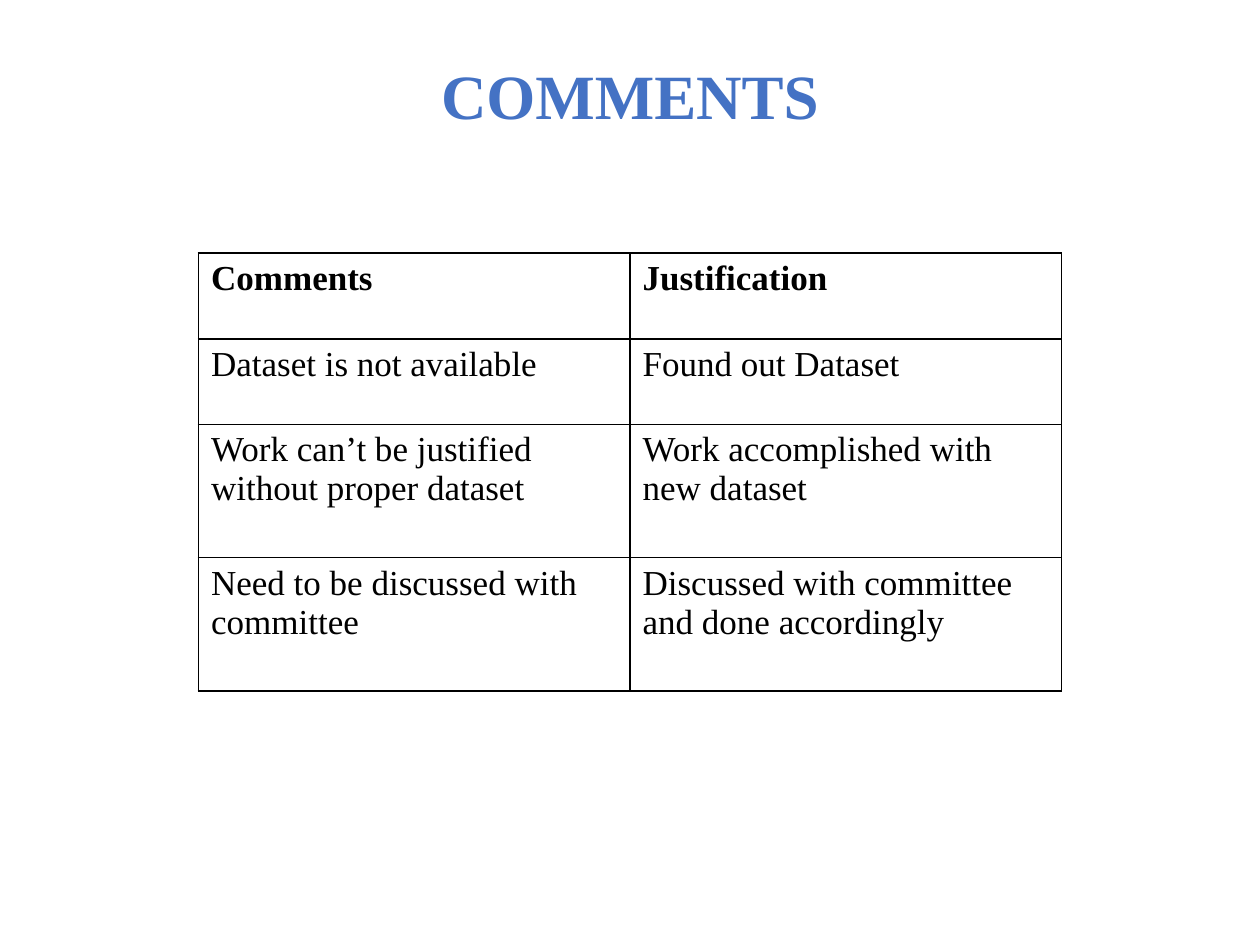
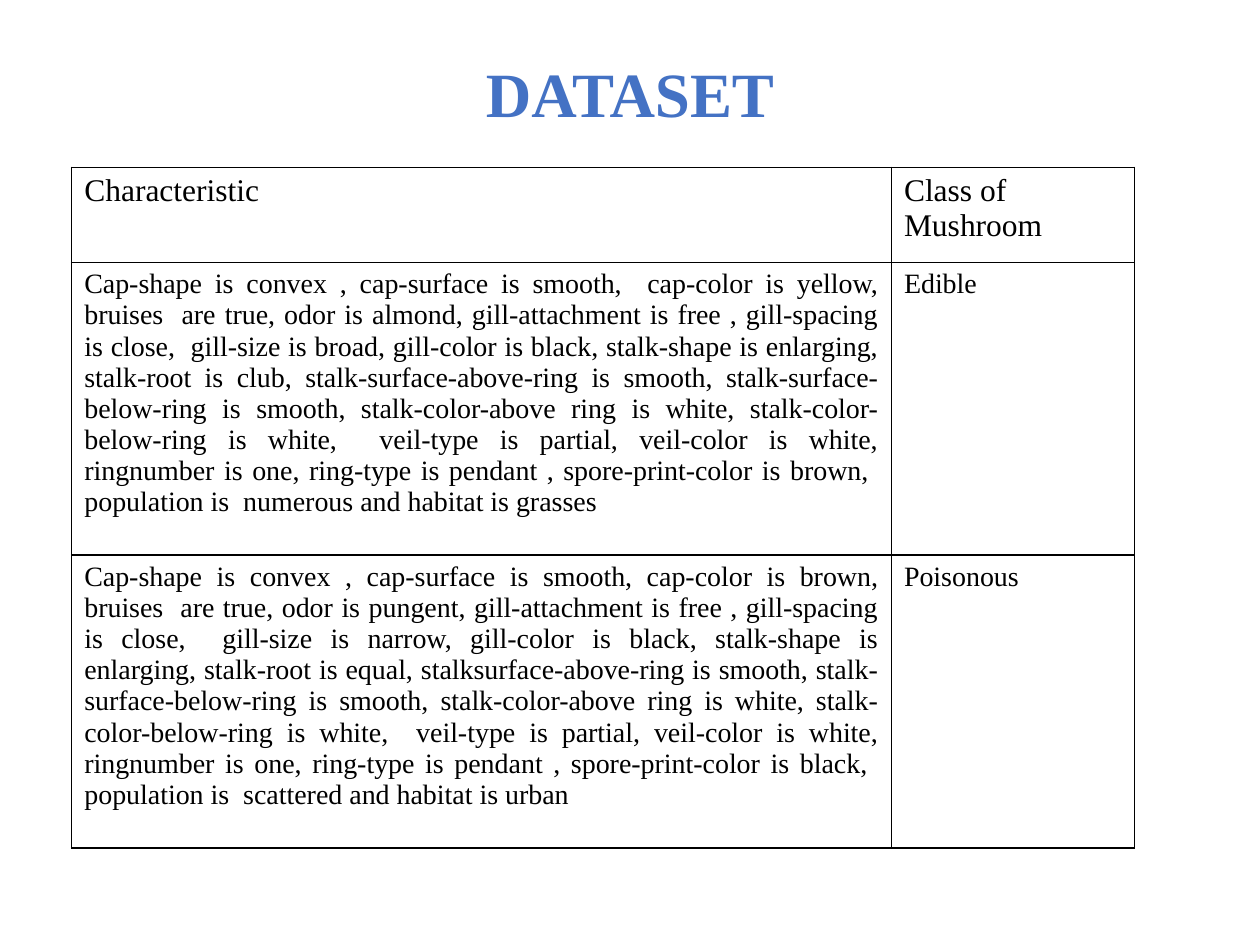
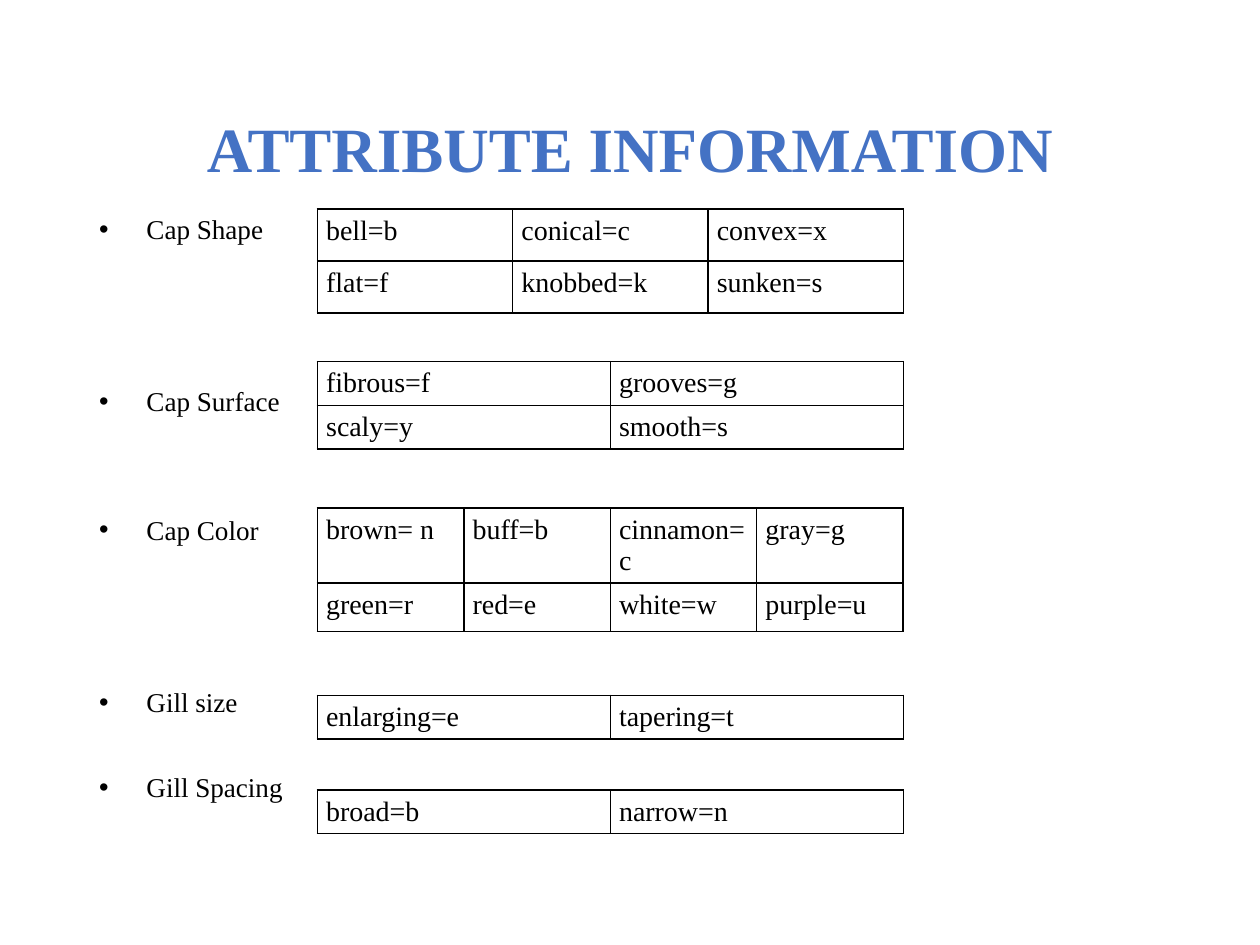
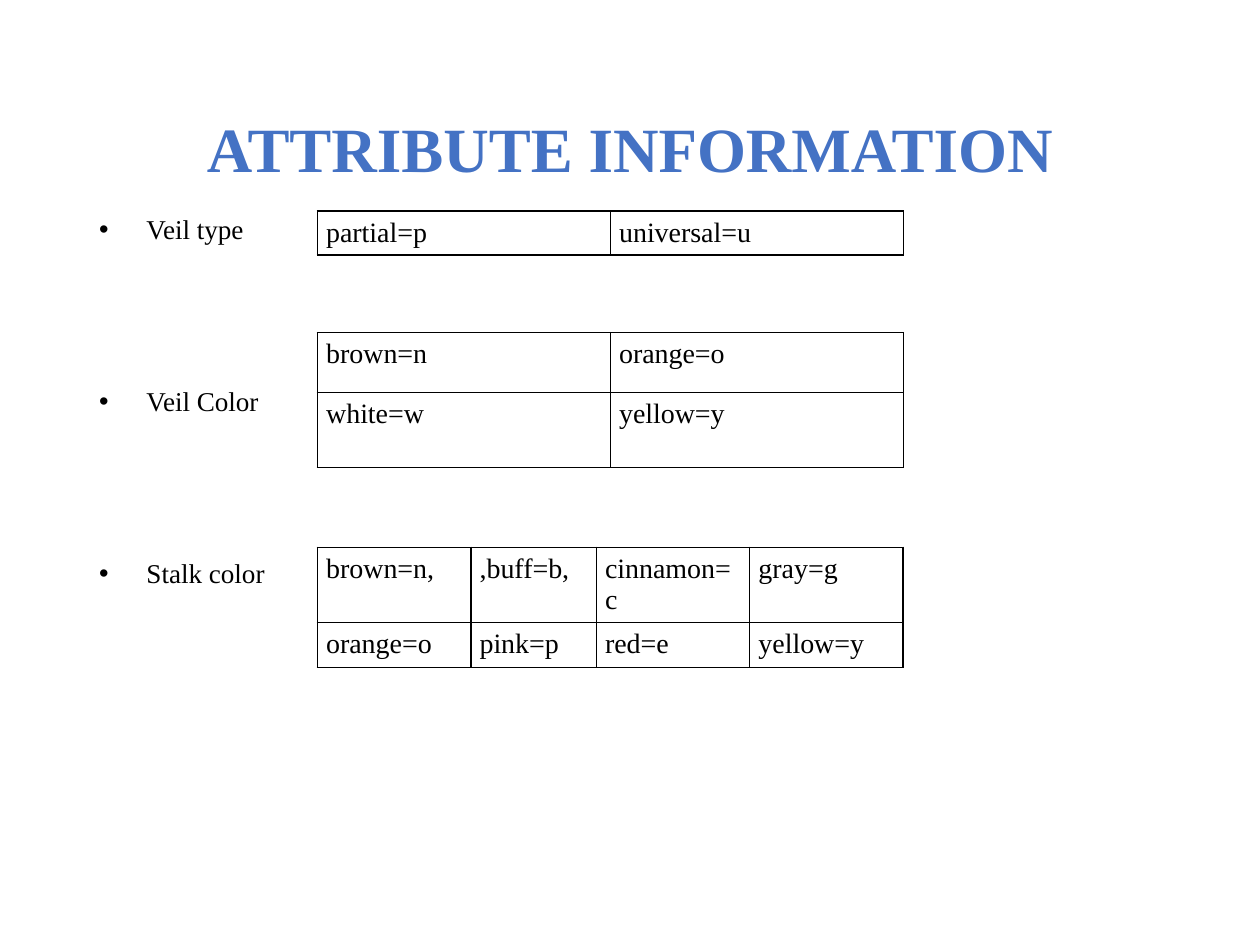
import pptx
import pptx.dml.color
import pptx.enum.text
import pptx.oxml
import pptx.oxml.ns
import pptx.util

Pt = pptx.util.Pt
ALIGN = pptx.enum.text.PP_ALIGN
FONT = "Times New Roman"
BLUE = "4472C4"
BLACK = "000000"
LINE = 24.7  # height of one skipped line in a list
LEFT, WIDE = 181.4, 334.8  # place of the attribute tables


def write(para, text, size=16, color=BLACK, bold=False, align=None, space=None):
    run = para.add_run()
    run.text = text
    font = run.font
    font.name, font.size, font.bold = FONT, Pt(size), bold
    font.color.rgb = pptx.dml.color.RGBColor.from_string(color)
    para.alignment = align
    para.line_spacing = space


def grid(slide, left, top, cols, rows, cells, size=16, head=None, bold=False,
         pad=7.2, just=False):
    """Add a bordered table; head is the size of the first row, just justifies column one below it."""
    table = slide.shapes.add_table(len(rows), len(cols), Pt(left), Pt(top),
                                   Pt(sum(cols)), Pt(sum(rows))).table
    table.first_row = table.horz_banding = False
    for col, width in zip(table.columns, cols):
        col.width = Pt(width)
    for r, (row, high) in enumerate(zip(table.rows, rows)):
        row.height = Pt(high)
        for c, cell in enumerate(row.cells):
            cell.margin_left = cell.margin_right = Pt(pad)
            write(cell.text_frame.paragraphs[0], cells[r][c],
                  size=head if head and r == 0 else size, bold=bold and r == 0,
                  align=ALIGN.JUSTIFY if just and r and c == 0 else None)
            props = cell._tc.get_or_add_tcPr()
            for side in ("lnL", "lnR", "lnT", "lnB"):
                props.append(pptx.oxml.parse_xml(
                    f'<a:{side} {pptx.oxml.ns.nsdecls("a")} w="{Pt(1)}"><a:solidFill>'
                    f'<a:srgbClr val="{BLACK}"/></a:solidFill></a:{side}>'))
            cell.fill.background()


deck = pptx.Presentation()
deck.slide_width, deck.slide_height = Pt(720), Pt(540)

# Titles: layout number, text, left, top, width, height
heads = [
    (5, "COMMENTS", 49.5, 28.75, 621, 56),
    (5, "DATASET", 63, 30, 594, 51),
    (1, "ATTRIBUTE INFORMATION", 63, 54.7, 594, 65),
    (1, "ATTRIBUTE INFORMATION", 63, 54.7, 594, 65),
]
for kind, text, left, top, width, high in heads:
    title = deck.slides.add_slide(deck.slide_layouts[kind]).shapes.title
    title.left, title.top, title.width, title.height = Pt(left), Pt(top), Pt(width), Pt(high)
    frame = title.text_frame
    frame.auto_size = pptx.enum.text.MSO_AUTO_SIZE.NONE
    frame.vertical_anchor = pptx.enum.text.MSO_ANCHOR.MIDDLE
    write(frame.paragraphs[0], text, size=36, color=BLUE, bold=True,
          align=ALIGN.CENTER, space=0.9)
notes, data, caps, veils = deck.slides

# Comments
grid(notes, 113.4, 144.7, [246.6, 246.6], [48.9, 48.9, 76.2, 76.2], [
    ["Comments", "Justification"],
    ["Dataset is not available", "Found out Dataset"],
    ["Work can’t be justified without proper dataset",
     "Work accomplished with new dataset"],
    ["Need to be discussed with committee",
     "Discussed with committee and done accordingly"],
], size=20, bold=True)

# Dataset
good = (
    "Cap-shape is convex , cap-surface is smooth,  cap-color is yellow, bruises  are true, "
    "odor is almond, gill-attachment is free , gill-spacing is close,  gill-size is broad, "
    "gill-color is black, stalk-shape is enlarging, stalk-root is club, "
    "stalk-surface-above-ring is smooth, stalk-surface-below-ring is smooth, "
    "stalk-color-above ring is white, stalk-color-below-ring is white,  veil-type is partial, "
    "veil-color is white, ringnumber is one, ring-type is pendant , "
    "spore-print-color is brown,  population is  numerous and habitat is grasses")
bad = (
    "Cap-shape is convex , cap-surface is smooth, cap-color is brown, bruises  are true, "
    "odor is pungent, gill-attachment is free , gill-spacing is close,  gill-size is narrow, "
    "gill-color is black, stalk-shape is enlarging, stalk-root is equal, "
    "stalksurface-above-ring is smooth, stalk-surface-below-ring is smooth, "
    "stalk-color-above ring is white, stalk-color-below-ring is white,  veil-type is partial, "
    "veil-color is white, ringnumber is one, ring-type is pendant , "
    "spore-print-color is black,  population is  scattered and habitat is urban")
grid(data, 41, 95.6, [468.4, 138.8], [54.4, 167.3, 167.3], [
    ["Characteristic", "Class of Mushroom"],
    [good, "Edible"],
    [bad, "Poisonous"],
], head=18, just=True)

# Attribute lists: label and number of lines skipped above it
lists = [
    (caps, [("Cap Shape", 0), ("Cap Surface", 3), ("Cap Color", 2),
            ("Gill size", 3), ("Gill Spacing", 1)]),
    (veils, [("Veil type", 0), ("Veil Color", 3), ("Stalk color", 3)]),
]
for slide, items in lists:
    body = slide.placeholders[1]
    body.left, body.top, body.width, body.height = Pt(49.5), Pt(119.7), Pt(621), Pt(391.5)
    frame = body.text_frame
    frame.auto_size = pptx.enum.text.MSO_AUTO_SIZE.NONE
    for i, (label, skip) in enumerate(items):
        para = frame.add_paragraph() if i else frame.paragraphs[0]
        write(para, label, size=15.5, align=ALIGN.JUSTIFY, space=0.9)
        para.space_before = Pt(7.5 + skip * LINE)
        props = para._p.get_or_add_pPr()
        props.set("marL", str(Pt(27)))
        props.set("indent", str(Pt(-27)))

# Attribute tables: slide, top, row heights, cells
tables = [
    (caps, 119.4, [29.7, 29.7], [["bell=b", "conical=c", "convex=x"],
                                 ["flat=f", "knobbed=k", "sunken=s"]]),
    (caps, 206.6, [25, 25], [["fibrous=f", "grooves=g"], ["scaly=y", "smooth=s"]]),
    (caps, 290.2, [43, 27.7], [["brown= n", "buff=b", "cinnamon=c", "gray=g"],
                               ["green=r", "red=e", "white=w", "purple=u"]]),
    (caps, 397.4, [25], [["enlarging=e", "tapering=t"]]),
    (caps, 451.4, [25], [["broad=b", "narrow=n"]]),
    (veils, 120.6, [25], [["partial=p", "universal=u"]]),
    (veils, 190, [34.4, 42.8], [["brown=n", "orange=o"], ["white=w", "yellow=y"]]),
    (veils, 312.8, [43, 25.7], [["brown=n,", ",buff=b,", "cinnamon=c", "gray=g"],
                                ["orange=o", "pink=p", "red=e", "yellow=y"]]),
]
for slide, top, rows, cells in tables:
    count = len(cells[0])
    cols = [WIDE / count] * count
    if slide is veils and count == 4:
        cols = [87.7, 71.7, 87.7, 87.7]
    grid(slide, LEFT, top, cols, rows, cells, pad=5)

deck.save("out.pptx")
